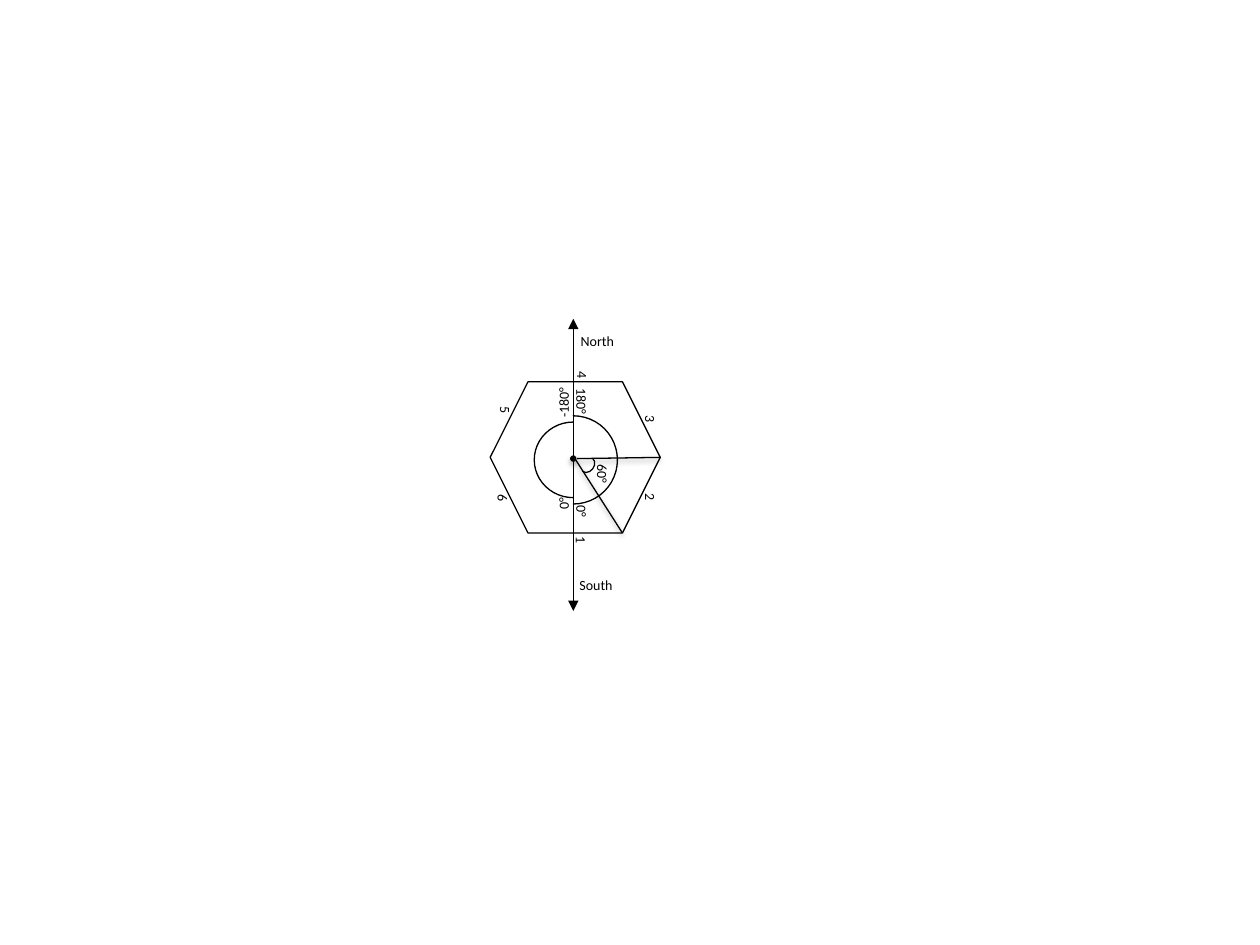
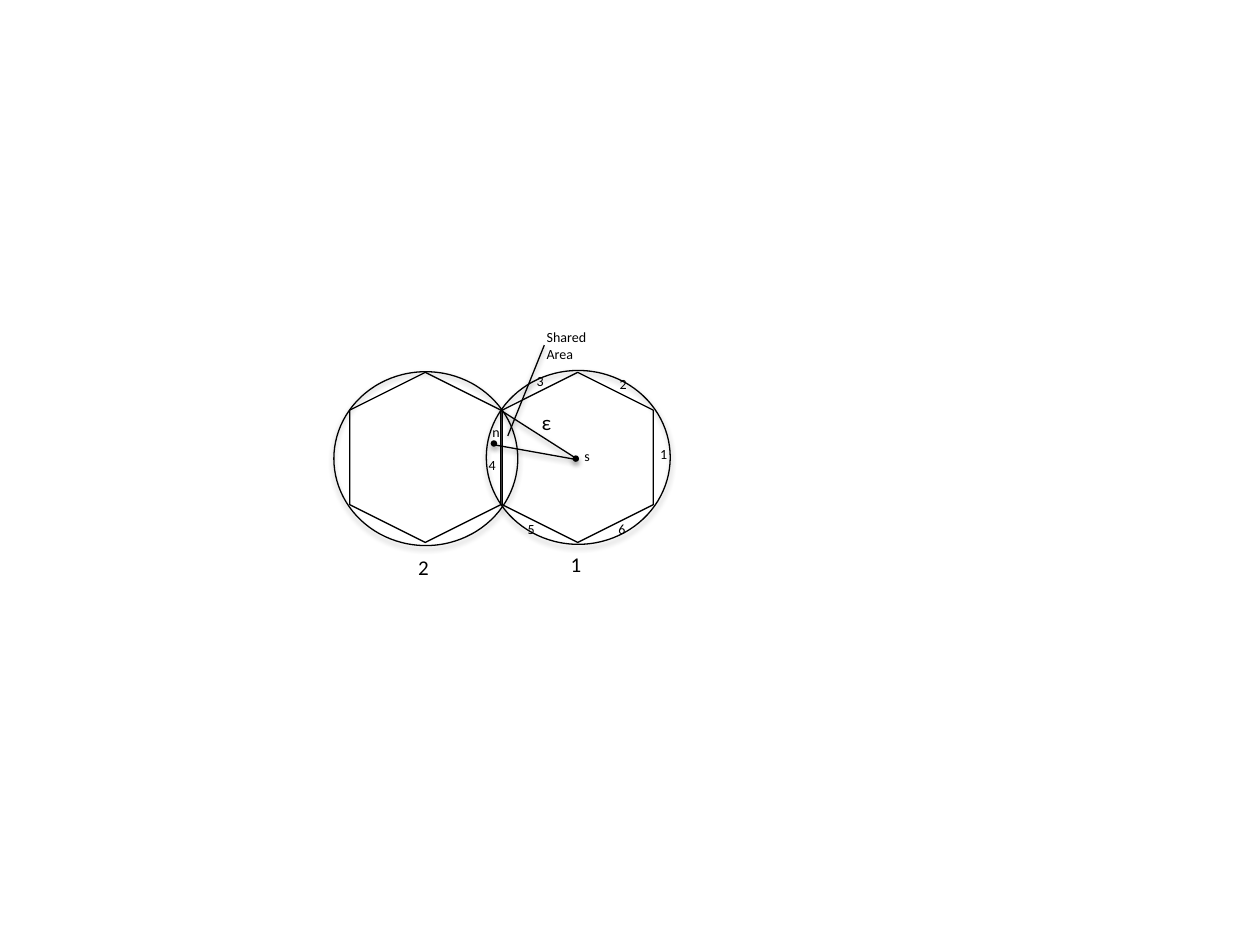
from lxml import etree
from pptx import Presentation
from pptx import util as u
from pptx.dml.color import RGBColor
from pptx.enum import shapes, text
from pptx.oxml import ns

COLOURS = {"ink": "000000", "paper": "FFFFFF"}
SHAPES = shapes.MSO_SHAPE


class Diagram:
    """Draws thin black geometry and small labels on the current slide."""

    font = "Calibri"
    label_size = 8
    line_width = 0.75
    dot_size = 0.04

    def __init__(self):
        self.presentation = Presentation()
        self.presentation.slide_width = u.Inches(10)
        self.presentation.slide_height = u.Inches(7.5)
        self.slide = None

    def colour(self, name):
        return RGBColor.from_string(COLOURS[name])

    def new_slide(self):
        self.slide = self.presentation.slides.add_slide(self.presentation.slide_layouts[6])
        background = self.slide.background.fill
        background.solid()
        background.fore_color.rgb = self.colour("paper")

    def outline(self, shape):
        shape.line.width = u.Pt(self.line_width)
        shape.line.color.rgb = self.colour("ink")

    def effects(self, shape, opacity, distance):
        properties = shape.element.spPr
        effects = etree.SubElement(properties, ns.qn("a:effectLst"))
        if opacity:
            shadow = etree.SubElement(
                effects, ns.qn("a:outerShdw"), blurRad=str(u.Pt(3.1)),
                dist=str(u.Pt(distance)), dir="5400000", rotWithShape="0")
            tone = etree.SubElement(shadow, ns.qn("a:srgbClr"), val=COLOURS["ink"])
            etree.SubElement(tone, ns.qn("a:alpha"), val=str(opacity * 1000))

    def figure(self, kind, left, top, width, height, rotation=0, filled=False, shadow=False):
        shape = self.slide.shapes.add_shape(
            kind, u.Inches(left), u.Inches(top), u.Inches(width), u.Inches(height))
        shape.rotation = rotation
        if filled:
            shape.fill.solid()
            shape.fill.fore_color.rgb = self.colour("ink")
        else:
            shape.fill.background()
        self.outline(shape)
        self.effects(shape, 35 if shadow else 0, 1.8)
        return shape

    def hexagon(self, left, top, rotation):
        self.figure(SHAPES.HEXAGON, left, top, 1.35, 1.2, rotation)

    def circle(self, left, top):
        self.figure(SHAPES.OVAL, left, top, 1.46, 1.38, shadow=True)

    def dot(self, left, top):
        self.figure(SHAPES.OVAL, left, top, self.dot_size, self.dot_size,
                    filled=True, shadow=True)

    def arc(self, left, top, width, height, rotation=0):
        moon = self.figure(SHAPES.MOON, left, top, width, height, rotation, filled=True)
        moon.adjustments[0] = 0

    def line(self, start, end, shadow=True):
        connector = self.slide.shapes.add_connector(
            shapes.MSO_CONNECTOR.STRAIGHT, *map(u.Inches, start + end))
        self.outline(connector)
        self.effects(connector, 38 if shadow else 0, 1.6)
        return connector

    def double_arrow(self, start, end):
        line = self.line(start, end, shadow=False).element.spPr.find(ns.qn("a:ln"))
        for tip in ("a:headEnd", "a:tailEnd"):
            etree.SubElement(line, ns.qn(tip), type="triangle")

    def label(self, words, left, top, width, height, rotation=0, size=label_size):
        box = self.slide.shapes.add_textbox(
            u.Inches(left), u.Inches(top), u.Inches(width), u.Inches(height))
        box.rotation = rotation
        frame = box.text_frame
        frame.word_wrap = True
        frame.auto_size = text.MSO_AUTO_SIZE.NONE
        run = frame.paragraphs[0].add_run()
        run.text = words
        run.font.name = self.font
        run.font.size = u.Pt(size)
        run.font.color.rgb = self.colour("ink")

    def save(self):
        self.presentation.save("out.pptx")


def draw_sector_angles(diagram):
    diagram.new_slide()
    diagram.hexagon(3.89, 3.03, 180)
    diagram.dot(4.53, 3.62)
    diagram.label("North", 4.51, 2.59, 0.5, 0.25)
    diagram.label("South", 4.5, 4.53, 0.5, 0.25)
    diagram.double_arrow((4.55, 2.53), (4.55, 4.85))
    diagram.arc(4.55, 3.3, 0.35, 0.7, 180)
    diagram.arc(4.24, 3.35, 0.31, 0.6)
    diagram.label("0°", 4.36, 4.04, 0.5, 0.25, 90)
    diagram.label("180°", 4.36, 3.11, 0.5, 0.25, 90)
    diagram.label("0°", 4.28, 3.9, 0.32, 0.17, 270)
    diagram.label("-180°", 4.23, 3.04, 0.5, 0.25, 270)
    sides = [(4.44, 4.12), (4.99, 3.78), (4.99, 3.16), (4.45, 2.81), (3.84, 3.09), (3.82, 3.79)]
    for number, (left, top) in enumerate(sides, 1):
        diagram.label(str(number), left, top, 0.25, 0.33, 90)
    diagram.line((4.55, 3.62), (4.94, 4.23))
    diagram.line((4.58, 3.64), (5.24, 3.63))
    diagram.arc(4.66, 3.64, 0.05, 0.13, 217.3)
    diagram.label("60°", 4.45, 3.83, 0.69, 0.21, 90)


def draw_shared_area(diagram):
    diagram.new_slide()
    cell_step = 1.21
    for cell in range(2):
        diagram.hexagon(3.91 - cell * cell_step, 3.03, 90)
    diagram.dot(4.55, 3.62)
    diagram.line((4.56, 3.63), (3.98, 3.26))
    diagram.line((4.59, 3.65), (3.92, 3.53))
    diagram.dot(3.9, 3.5)
    diagram.label("ε", 4.2, 3.2, 0.23, 0.3, size=12)
    sides = [
        (5.14, 3.49, 0.44, 0.73), (4.82, 2.93, 0.24, 0.33), (4.16, 2.91, 0.31, 0.58),
        (3.78, 3.57, 0.35, 0.51), (4.09, 4.08, 0.4, 0.77), (4.81, 4.08, 0.37, 0.46),
    ]
    for number, place in enumerate(sides, 1):
        diagram.label(str(number), *place)
    for cell in range(2):
        diagram.circle(3.86 - cell * cell_step, 2.94 + cell * 0.01)
        diagram.label(str(cell + 1), 4.43 - cell * cell_step, 4.33 + cell * 0.02,
                      0.44, 0.73, size=12)
    diagram.label("s", 4.54, 3.5, 0.31, 0.58)
    diagram.label("n", 3.81, 3.31, 0.31, 0.58)
    diagram.line((4.32, 2.74), (4.03, 3.46))
    diagram.label("Shared Area", 4.24, 2.56, 0.74, 0.46)


diagram = Diagram()
draw_sector_angles(diagram)
draw_shared_area(diagram)
diagram.save()
